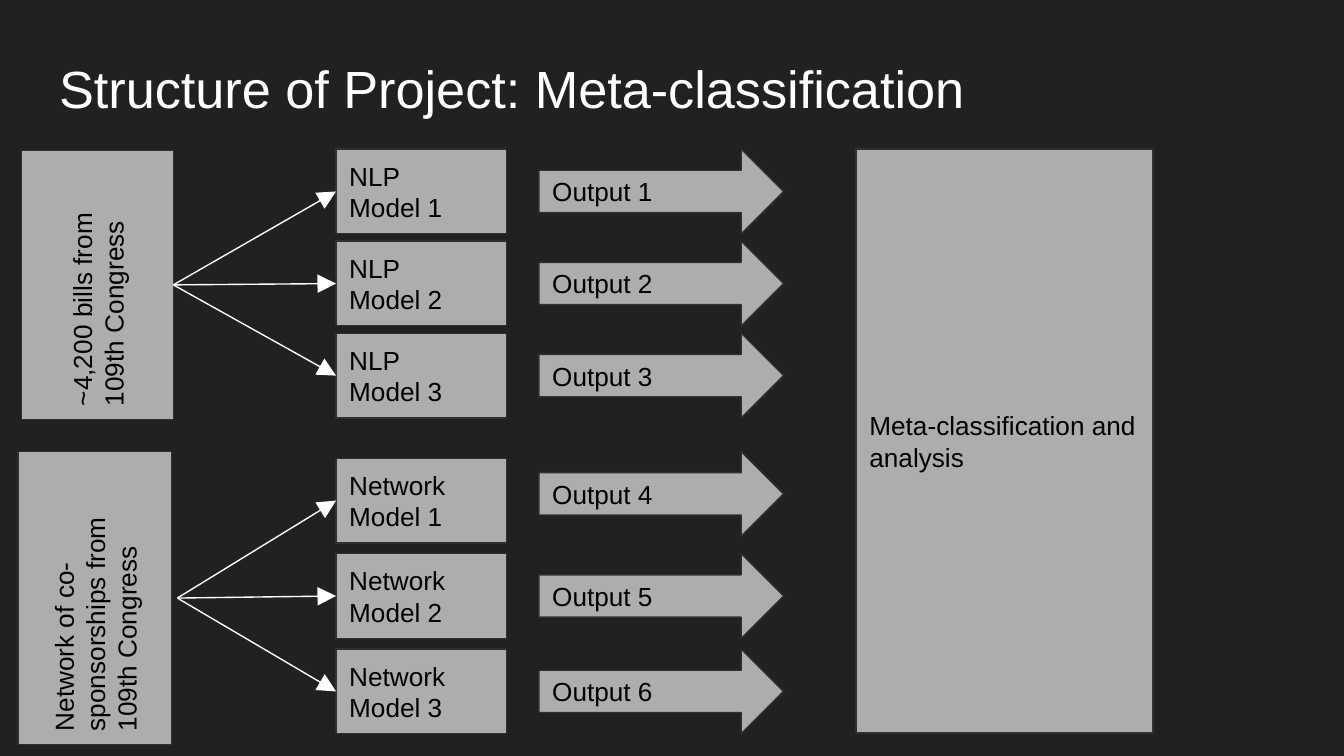
from lxml.etree import SubElement
from pptx import Presentation
from pptx.dml.color import RGBColor
from pptx.enum.shapes import MSO_CONNECTOR, MSO_SHAPE
from pptx.enum.text import MSO_ANCHOR, MSO_AUTO_SIZE, PP_ALIGN
from pptx.oxml.ns import qn
from pptx.util import Inches, Pt

COLORS = {"background": "212121", "fill": "ADADAD", "outline": "303030",
          "light": "FFFFFF", "dark": "000000"}
FONT = "Arial"
CELL = Inches(0.1)  # the slide is a grid of 100 columns by 56.25 rows
COLUMNS, ROWS = 100, 56.25

MODEL_LEFT, MODEL_WIDTH = 25, 12.7
OUTPUT_LEFT, OUTPUT_WIDTH = 40.1, 18.2
STEP_HEIGHT = 6.3
LEFT_SITE = 1  # connection site in the middle of a rectangle's left side

# source: text, box before its quarter turn, point where the arrows start
# model: lines before its number; tops: rows of the models and outputs
BRANCHES = [
    {"source": "~4,200 bills from 109th Congress",
     "box": (-2.75, 15.55, 20, 11.3), "start": (12.9, 21.2),
     "model": "NLP\nModel", "model_tops": (11.1, 17.95, 24.8),
     "output_tops": (11.1, 17.95, 24.8)},
    {"source": "Network of co-sponsorships from 109th Congress",
     "box": (-3.85, 38.8, 21.8, 11.4), "start": (13.2, 44.5),
     "model": "Network Model", "model_tops": (34.1, 41.2, 48.3),
     "output_tops": (33.6, 41.2, 48.3)},
]


def cells(*counts):
    """Turn counts of grid cells into lengths."""
    return [round(count * CELL) for count in counts]


def color(name):
    """Return a colour of the palette."""
    return RGBColor.from_string(COLORS[name])


def write_text(shape, text, size, color_name, anchor):
    """Fill a shape with left-aligned text, one paragraph for each line."""
    frame = shape.text_frame
    frame.word_wrap = True
    frame.auto_size = MSO_AUTO_SIZE.NONE
    frame.vertical_anchor = anchor
    frame.margin_left = frame.margin_right = CELL
    frame.margin_top = frame.margin_bottom = CELL
    for index, line in enumerate(text.split("\n")):
        paragraph = frame.add_paragraph() if index else frame.paragraphs[0]
        paragraph.alignment = PP_ALIGN.LEFT
        run = paragraph.add_run()
        run.text = line
        run.font.name = FONT
        run.font.size = Pt(size)
        run.font.color.rgb = color(color_name)


def add_title(slide, text):
    """Move and fill the title placeholder."""
    title = slide.shapes.title
    title.left, title.top, title.width, title.height = cells(3.4, 3.2, 93.2, 6.3)
    write_text(title, text, 28, "light", MSO_ANCHOR.TOP)


def add_block(slide, text, box, kind=MSO_SHAPE.RECTANGLE, rotation=0):
    """Add a grey block with text and return it."""
    shape = slide.shapes.add_shape(kind, *cells(*box))
    shape.rotation = rotation
    shape.shadow.inherit = False
    shape.fill.solid()
    shape.fill.fore_color.rgb = color("fill")
    shape.line.color.rgb = color("outline")
    shape.line.width = Pt(0.75)
    write_text(shape, text, 14, "dark", MSO_ANCHOR.MIDDLE)
    return shape


def add_arrow(slide, start, target):
    """Draw an arrow from a grid point to the left side of a block."""
    begin = cells(*start)
    connector = slide.shapes.add_connector(MSO_CONNECTOR.STRAIGHT, *begin, *begin)
    connector.end_connect(target, LEFT_SITE)
    connector.line.color.rgb = color("light")
    connector.line.width = Pt(0.75)
    SubElement(connector.line._get_or_add_ln(), qn("a:tailEnd"),
               type="triangle", w="lg", len="lg")
    SubElement(connector._element.spPr, qn("a:effectLst"))


def add_branch(slide, branch, first_output):
    """Add a data source, its models and their outputs."""
    add_block(slide, branch["source"], branch["box"], rotation=270)
    tops = zip(branch["model_tops"], branch["output_tops"])
    for index, (model_top, output_top) in enumerate(tops):
        model = add_block(slide, f"{branch['model']} {index + 1}",
                          (MODEL_LEFT, model_top, MODEL_WIDTH, STEP_HEIGHT))
        add_arrow(slide, branch["start"], model)
        add_block(slide, f"Output {first_output + index}",
                  (OUTPUT_LEFT, output_top, OUTPUT_WIDTH, STEP_HEIGHT),
                  MSO_SHAPE.RIGHT_ARROW)


def main():
    """Build the slide and save it."""
    presentation = Presentation()
    presentation.slide_width, presentation.slide_height = cells(COLUMNS, ROWS)
    slide = presentation.slides.add_slide(presentation.slide_layouts[5])
    slide.background.fill.solid()
    slide.background.fill.fore_color.rgb = color("background")

    add_title(slide, "Structure of Project: Meta-classification")
    first_output = 1
    for branch in BRANCHES:
        add_branch(slide, branch, first_output)
        first_output += len(branch["output_tops"])
    add_block(slide, "Meta-classification and analysis", (63.7, 11.1, 22.1, 43.45))
    presentation.save("out.pptx")


main()
